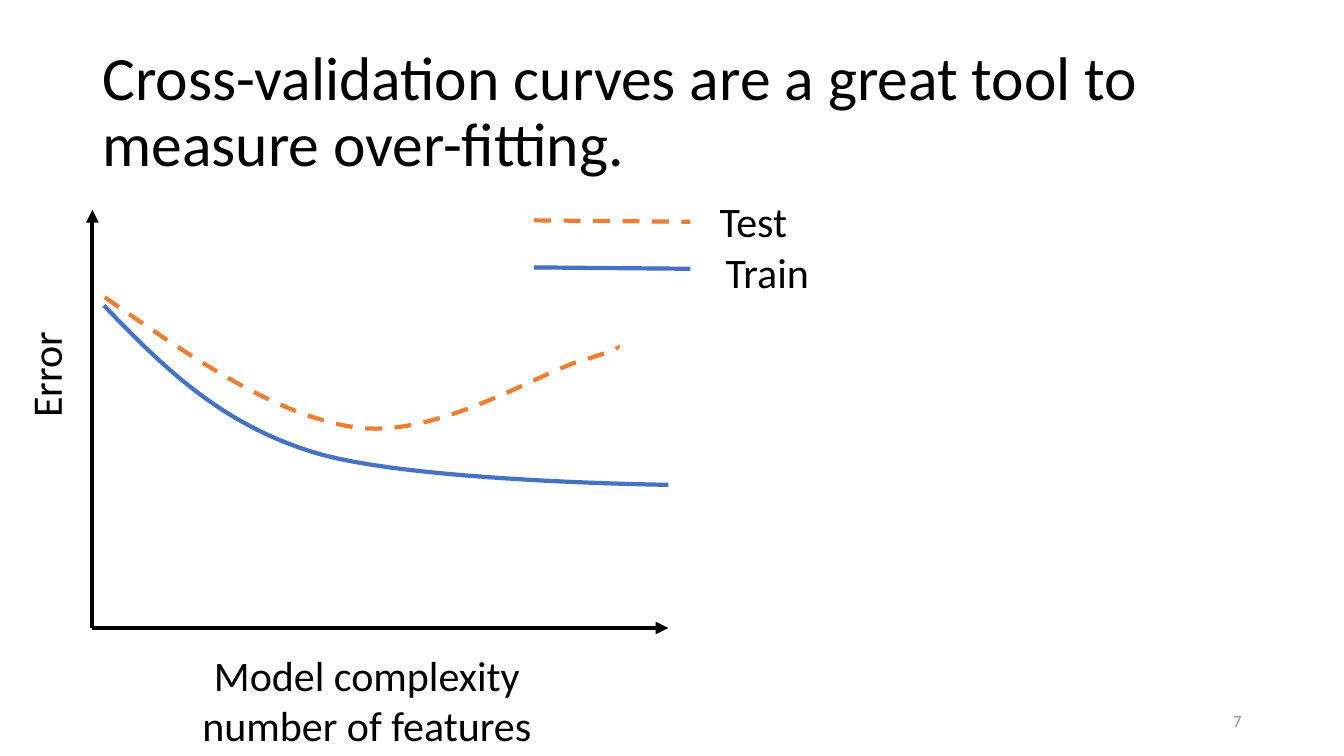
from dataclasses import dataclass

from pptx import Presentation
from pptx.dml.color import RGBColor
from pptx.enum.dml import MSO_LINE
from pptx.enum.shapes import MSO_CONNECTOR
from pptx.enum.text import MSO_ANCHOR, MSO_AUTO_SIZE, PP_ALIGN
from pptx.oxml.ns import qn
from pptx.util import Pt
from lxml.etree import SubElement


@dataclass(frozen=True)
class Theme:
    font: str = "Calibri"
    ink: RGBColor = RGBColor(0x00, 0x00, 0x00)
    muted: RGBColor = RGBColor(0x8C, 0x8C, 0x8C)
    test: RGBColor = RGBColor(0xED, 0x7D, 0x31)
    train: RGBColor = RGBColor(0x44, 0x72, 0xC4)
    title_size: int = 44
    label_size: int = 30
    number_size: int = 12
    stroke: int = 3


@dataclass(frozen=True)
class Box:
    left: float
    top: float
    width: float
    height: float

    def inner(self, left, top, width, height):
        return Box(self.left + left, self.top + top, width, height)

    def point(self, x, y):
        return Pt(self.left + x), Pt(self.top + y)

    def place(self, part):
        part.left, part.top = Pt(self.left), Pt(self.top)
        part.width, part.height = Pt(self.width), Pt(self.height)


THEME = Theme()
CURVE_STEPS = 24

TEST_CURVE = [
    (8.9, 62.4), (70.1, 104.9), (131.3, 147.4), (188.2, 155.3),
    (244.3, 163.2), (315.6, 118.6), (346.6, 108.5),
    (378.2, 99.1), (375.4, 97.7), (375.4, 97.7),
]
TRAIN_CURVE = [
    (8.2, 68.2), (48.5, 109.9), (89.5, 151.7), (156.5, 172.6),
    (223.4, 194.2), (411.4, 196.3), (411.4, 196.3),
]


def write(frame, lines, size, color, align=PP_ALIGN.LEFT, anchor=MSO_ANCHOR.TOP):
    frame.word_wrap = True
    frame.auto_size = MSO_AUTO_SIZE.NONE
    frame.vertical_anchor = anchor
    frame.text = "\n".join(lines)
    for paragraph in frame.paragraphs:
        paragraph.alignment = align
        paragraph.font.name = THEME.font
        paragraph.font.size = Pt(size)
        paragraph.font.color.rgb = color


def add_label(slide, box, lines, align=PP_ALIGN.LEFT):
    label = slide.shapes.add_textbox(0, 0, 0, 0)
    box.place(label)
    write(label.text_frame, lines, THEME.label_size, THEME.ink, align)
    return label


def style_stroke(line, color, dashed):
    line.color.rgb = color
    line.width = Pt(THEME.stroke)
    if dashed:
        line.dash_style = MSO_LINE.DASH


def add_stroke(slide, start, end, color, dashed=False, arrow=False):
    stroke = slide.shapes.add_connector(MSO_CONNECTOR.STRAIGHT, *start, *end)
    style_stroke(stroke.line, color, dashed)
    properties = stroke._element.spPr
    if arrow:
        SubElement(properties.find(qn("a:ln")), qn("a:tailEnd"), type="triangle")
    SubElement(properties, qn("a:effectLst"))


def bezier_points(controls):
    for first in range(0, len(controls) - 1, 3):
        segment = controls[first:first + 4]
        for step in range(1, CURVE_STEPS + 1):
            t = step / CURVE_STEPS
            weights = ((1 - t) ** 3, 3 * t * (1 - t) ** 2, 3 * t * t * (1 - t), t ** 3)
            yield tuple(
                sum(weight * control[axis] for weight, control in zip(weights, segment))
                for axis in (0, 1)
            )


def add_curve(slide, box, controls, color, dashed=False):
    outline = slide.shapes.build_freeform(*box.point(*controls[0]))
    outline.add_line_segments(
        [box.point(x, y) for x, y in bezier_points(controls)], close=False
    )
    curve = outline.convert_to_shape()
    curve.shadow.inherit = False
    curve.fill.background()
    style_stroke(curve.line, color, dashed)


def add_title(slide, box):
    title = slide.shapes.title
    box.place(title)
    write(
        title.text_frame,
        ["Cross-validation curves are a great tool to measure over-fitting."],
        THEME.title_size, THEME.ink, anchor=MSO_ANCHOR.MIDDLE,
    )
    title.text_frame.paragraphs[0].line_spacing = 0.9


def add_error_plot(slide, box):
    origin = box.point(0, box.height)
    for axis_end in (box.point(0, 0), box.point(box.width, box.height)):
        add_stroke(slide, origin, axis_end, THEME.ink, arrow=True)
    error_label = add_label(slide, box.inner(-74, 92.6, 81.4, 44), ["Error"])
    error_label.rotation = 270
    add_label(
        slide, box.inner(8.2, box.height + 11.5, 375.8, 80),
        ["Model complexity", "number of features"], PP_ALIGN.CENTER,
    )
    add_curve(slide, box, TEST_CURVE, THEME.test, dashed=True)
    add_curve(slide, box, TRAIN_CURVE, THEME.train)


def add_legend(slide, box):
    entries = [
        ("Test", THEME.test, True, 21.4, 125.3, 0),
        ("Train", THEME.train, False, 55, 129.6, 36.8),
    ]
    for name, color, dashed, key_top, name_left, name_top in entries:
        add_stroke(
            slide, box.point(0, key_top), box.point(111.6, key_top + 1), color, dashed
        )
        name_box = box.inner(name_left, name_top, box.width - name_left, 44)
        add_label(slide, name_box, [name])


def add_page_number(slide, box):
    number = slide.shapes.add_textbox(0, 0, 0, 0)
    box.place(number)
    write(
        number.text_frame, ["7"], THEME.number_size, THEME.muted,
        PP_ALIGN.RIGHT, MSO_ANCHOR.MIDDLE,
    )


def main():
    deck = Presentation()
    deck.slide_width, deck.slide_height = Pt(960), Pt(540)
    slide = deck.slides.add_slide(deck.slide_layouts[5])
    add_title(slide, Box(66, 28.8, 828, 104.4))
    add_page_number(slide, Box(678, 500.5, 216, 28.8))
    add_error_plot(slide, Box(66, 150, 411.4, 298.6))
    add_legend(slide, Box(381.6, 136, 306, 80.8))
    deck.save("out.pptx")


if __name__ == "__main__":
    main()
